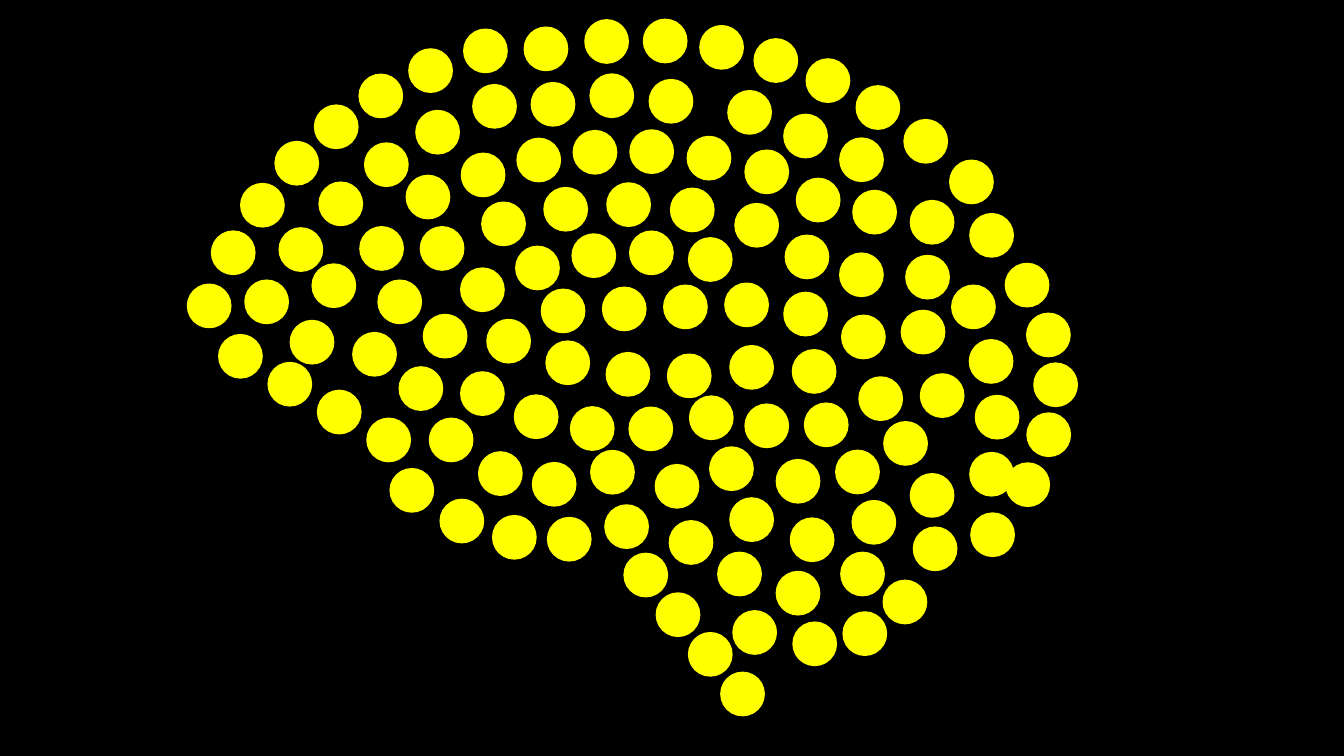
from math import hypot

from pptx import Presentation
from pptx.dml.color import RGBColor as Rgb
from pptx.enum.shapes import MSO_SHAPE as Shape
from pptx.util import Inches, Pt

COLORS = {"back": "000000", "dot": "FFFF00"}
SIZE = 0.43
STEP = 0.59

RIM = [
    ((1.86, 2.82), (4.6, 0.29), 0.46),
    ((5.2, 0.27), (9.42, 1.59), 0.57),
    ((9.62, 2.12), (9.63, 5.09), 0.63),
    ((9.06, 5.23), (7.27, 6.06), 0.47),
    ((7.15, 6.67), (6.19, 5.49)),
    ((6, 5.01), (3.87, 4.65), 0.29),
    ((3.64, 4.15), (2.17, 3.32)),
]
FOLDS = [
    ((2.43, 2.78), (4.69, 0.84), 0.27),
    ((5.27, 0.82), (6.44, 0.79), 0.07),
    ((7.22, 0.9), (8.33, 1.37)),
    ((4.03, 1.74), (7.39, 1.49), 0.32),
    ((4.17, 2.25), (7.29, 2.02), 0.31),
    ((4.57, 2.66), (6.83, 2.36), 0.19),
    ((5.37, 2.87), (7.19, 2.81)),
    ((4.83, 3.17), (7.24, 3.43), -0.2),
    ((4.57, 3.69), (6.24, 4.04), -0.13),
    ((4.26, 4.15), (5.86, 4.47), -0.26),
    ((2.88, 3.18), (3.57, 2.25), 0.16),
    ((3.5, 3.3), (3.75, 2.78)),
    ((3.96, 3.64), (4.2, 3.12)),
    ((7.9, 1.77), (7.86, 3.47), -0.11),
    ((8.46, 1.89), (8.52, 3.74), -0.17),
    ((9.03, 1.99), (8.94, 3.08)),
    ((9.44, 2.83), (9.62, 4.49), 0.13),
    ((9.13, 3.71), (7.7, 4.56), 0.25),
    ((7.39, 4.01), (7.98, 4)),
    ((9.03, 4.7), (7.84, 5.14), 0.05),
    ((8.34, 5.48), (7.7, 5.67)),
    ((7.12, 5.48), (6.5, 4.61), 0.21),
    ((7.24, 4.94), (6.84, 3.93)),
]


def color(name):
    return Rgb.from_string(COLORS[name])


def add_dot(slide, left, top):
    dot = slide.shapes.add_shape(
        Shape.OVAL, Inches(left), Inches(top), Inches(SIZE), Inches(SIZE))
    dot.shadow.inherit = False
    dot.fill.solid()
    dot.fill.fore_color.rgb = color("dot")
    dot.line.color.rgb = color("dot")
    dot.line.width = Pt(1)


def arc(start, end, bulge=0):
    wide, high = end[0] - start[0], end[1] - start[1]
    chord = hypot(wide, high)
    gaps = round((chord + 8 * bulge ** 2 / (3 * chord)) / STEP)
    for i in range(gaps + 1):
        part = i / gaps
        lift = 4 * part * (1 - part) * bulge / chord
        yield (start[0] + part * wide + lift * high,
               start[1] + part * high - lift * wide)


def add_brain(slide, left, top):
    for strand in RIM + FOLDS:
        for x, y in arc(*strand):
            add_dot(slide, left + x, top + y)


def add_page(deck):
    slide = deck.slides.add_slide(deck.slide_layouts[6])
    slide.background.fill.solid()
    slide.background.fill.fore_color.rgb = color("back")
    add_brain(slide, 0, 0)


deck = Presentation()
deck.slide_width = Inches(13.33)
deck.slide_height = Inches(7.5)
add_page(deck)
deck.save("out.pptx")
